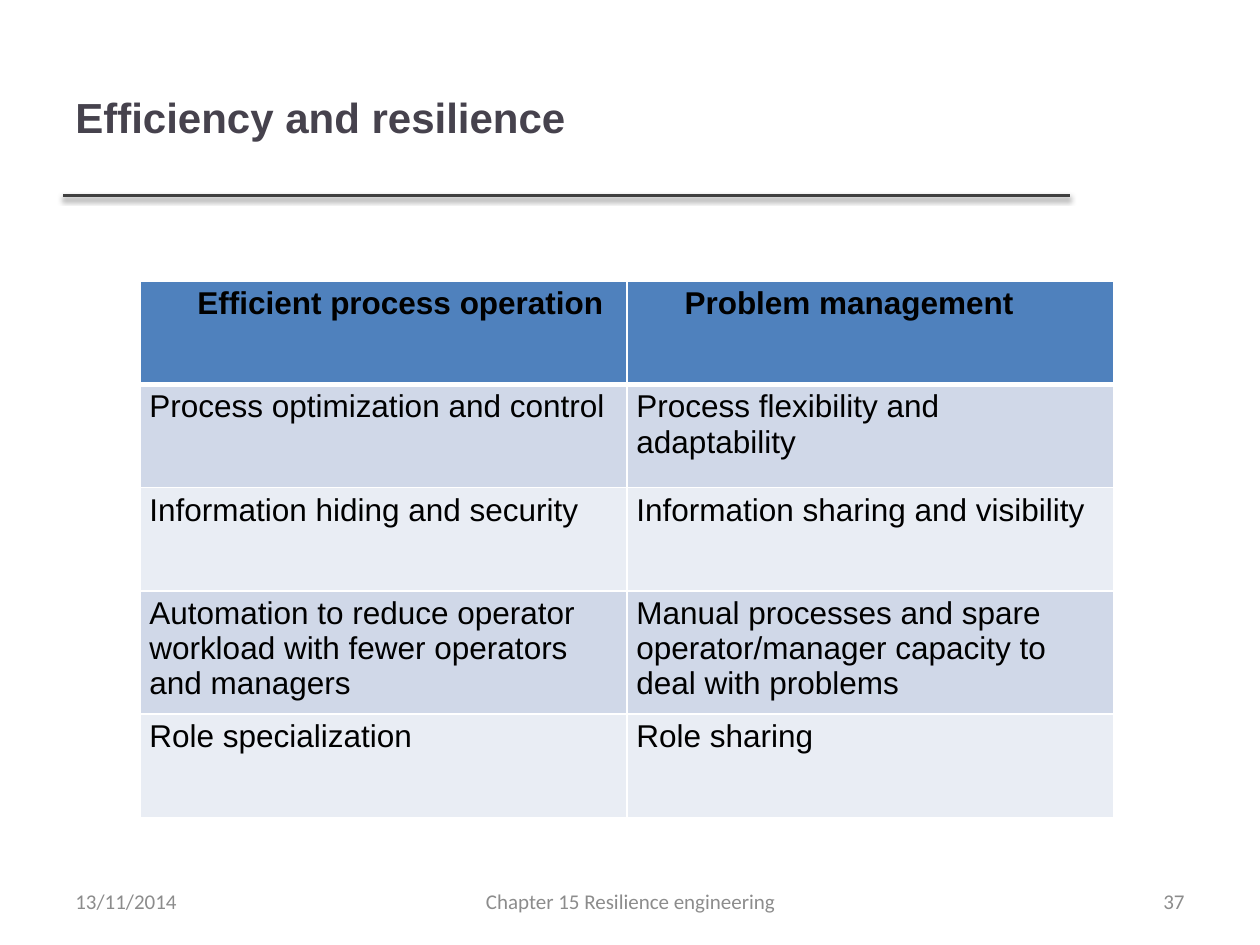
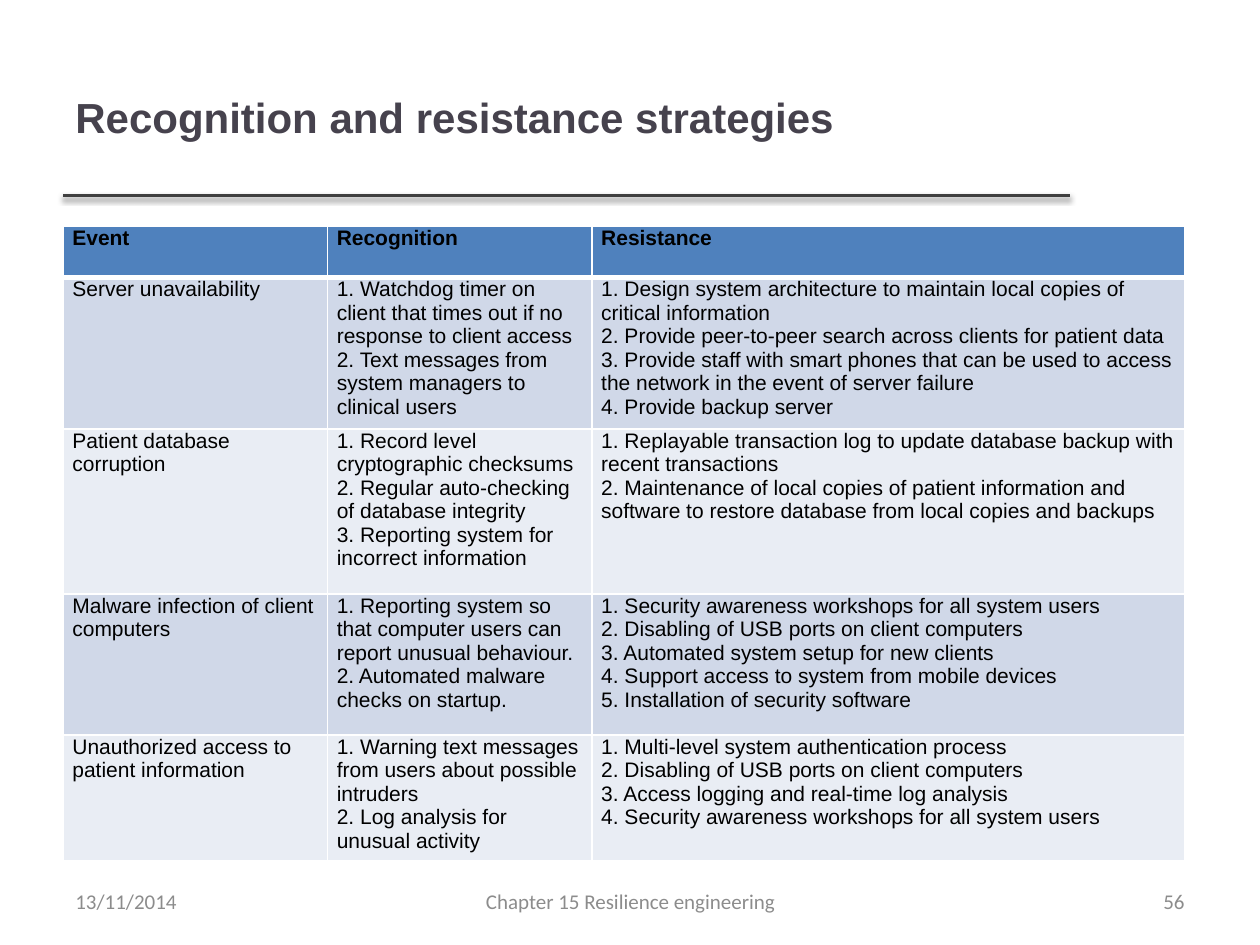
from lxml import etree
from pptx import Presentation
from pptx.dml.color import RGBColor
from pptx.enum.shapes import MSO_CONNECTOR
from pptx.enum.text import MSO_ANCHOR, PP_ALIGN
from pptx.util import Cm, Pt

LEFT, CENTER, RIGHT, JUSTIFY = PP_ALIGN.LEFT, PP_ALIGN.CENTER, PP_ALIGN.RIGHT, PP_ALIGN.JUSTIFY
MIDDLE = MSO_ANCHOR.MIDDLE
STRAIGHT = MSO_CONNECTOR.STRAIGHT

TITLE_COLOUR, RULE_COLOUR, FOOTER_COLOUR = "46424D", "404040", "8C8C8C"
TEXT_COLOUR, BORDER_COLOUR = "000000", "FFFFFF"
HEADER_FILL, BAND_FILLS = "4F81BD", ("D0D8E8", "E9EDF4")
NAMESPACE = 'xmlns:a="http://schemas.openxmlformats.org/drawingml/2006/main"'
RULE_SHADOW = (
    f'<a:effectLst {NAMESPACE}><a:outerShdw blurRad="{Pt(3.1)}" dist="{Pt(1.6)}" '
    'dir="5400000" rotWithShape="0"><a:srgbClr val="000000"><a:alpha val="38000"/>'
    '</a:srgbClr></a:outerShdw></a:effectLst>'
)


def style_font(font, name, size, colour, bold=False):
    font.name, font.size, font.bold = name, Pt(size), bold
    font.color.rgb = RGBColor.from_string(colour)


def add_text(slide, text, left, top, width, height, align, *font_style):
    shape = slide.shapes.add_textbox(Cm(left), Cm(top), Cm(width), Cm(height))
    frame = shape.text_frame
    frame.word_wrap = True
    frame.vertical_anchor = MIDDLE
    paragraph = frame.paragraphs[0]
    paragraph.text = text
    paragraph.alignment = align
    style_font(paragraph.font, *font_style)


# Content; each line in a cell is its own paragraph, lengths are in centimetres
pages = [
    {
        "title": "Efficiency and resilience",
        "number": "37",
        "position": (2.82, 5.67),
        "columns": [9.82, 9.82],
        "rows": [2.08, 2.08, 2.08, 2.33, 2.08],
        "size": 18,
        "margin": 0.1,
        "header_indent": 0.97,
        "cells": [
            ["Efficient process operation", "Problem management"],
            ["Process optimization and control", "Process flexibility and adaptability"],
            ["Information hiding and security", "Information sharing and visibility"],
            ["Automation to reduce operator workload with fewer operators and managers",
             "Manual processes and spare operator/manager capacity to deal with problems"],
            ["Role specialization", "Role sharing"],
        ],
    },
    {
        "title": "Recognition and resistance strategies",
        "number": "56",
        "position": (1.27, 4.57),
        "columns": [5.33, 5.33, 11.96],
        "rows": [1.03, 2.84, 3.33, 2.84, 2.4],
        "size": 12,
        "margin": 0,
        "header_indent": 0,
        "cells": [
            ["Event", "Recognition", "Resistance"],
            ["Server unavailability",
             "1. Watchdog timer on client that times out if no response to client access\n"
             "2. Text messages from system managers to clinical users",
             "1. Design system architecture to maintain local copies of critical information\n"
             "2. Provide peer-to-peer search across clients for patient data\n"
             "3. Provide staff with smart phones that can be used to access the network "
             "in the event of server failure\n"
             "4. Provide backup server"],
            ["Patient database corruption",
             "1. Record level cryptographic checksums\n"
             "2. Regular auto-checking of database integrity\n"
             "3. Reporting system for incorrect information",
             "1. Replayable transaction log to update database backup with recent transactions\n"
             "2. Maintenance of local copies of patient information and software to restore "
             "database from local copies and backups"],
            ["Malware infection of client computers",
             "1. Reporting system so that computer users can report unusual behaviour.\n"
             "2. Automated malware checks on startup.",
             "1. Security awareness workshops for all system users\n"
             "2. Disabling of USB ports on client computers\n"
             "3. Automated system setup for new clients\n"
             "4. Support access to system from mobile devices\n"
             "5. Installation of security software"],
            ["Unauthorized access to patient information",
             "1. Warning text messages from users about possible intruders\n"
             "2. Log analysis for unusual activity",
             "1. Multi-level system authentication process\n"
             "2. Disabling of USB ports on client computers\n"
             "3. Access logging and real-time log analysis\n"
             "4. Security awareness workshops for all system users"],
        ],
    },
]

presentation = Presentation()
presentation.slide_width, presentation.slide_height = Cm(25.4), Cm(19.05)

for page in pages:
    slide = presentation.slides.add_slide(presentation.slide_layouts[6])

    # Rule under the title, with a soft shadow
    rule = slide.shapes.add_connector(STRAIGHT, Cm(1.27), Cm(3.94), Cm(21.56), Cm(3.94))
    rule.line.width = Pt(2)
    rule.line.color.rgb = RGBColor.from_string(RULE_COLOUR)
    rule._element.spPr.append(etree.fromstring(RULE_SHADOW))

    # Title and footer
    add_text(slide, page["title"], 1.27, 0.76, 20.27, 3.18, LEFT, "Arial", 24, TITLE_COLOUR, True)
    footer = [
        ("13/11/2014", 1.27, 5.92, LEFT),
        ("Chapter 15 Resilience engineering", 8.69, 8.05, CENTER),
        (page["number"], 18.21, 5.92, RIGHT),
    ]
    for text, left, width, align in footer:
        add_text(slide, text, left, 17.65, width, 1.02, align, "Calibri", 12, FOOTER_COLOUR)

    # Table
    left, top = page["position"]
    columns, rows = page["columns"], page["rows"]
    table = slide.shapes.add_table(
        len(rows), len(columns), Cm(left), Cm(top), Cm(sum(columns)), Cm(sum(rows))
    ).table
    for column, width in zip(table.columns, columns):
        column.width = Cm(width)
    for row, height in zip(table.rows, rows):
        row.height = Cm(height)

    for row_index, texts in enumerate(page["cells"]):
        is_header = row_index == 0
        fill = HEADER_FILL if is_header else BAND_FILLS[(row_index - 1) % 2]
        # The border between header and body is thicker
        borders = {"L": 1, "R": 1, "T": 3 if row_index == 1 else 1, "B": 3 if is_header else 1}
        for column_index, text in enumerate(texts):
            cell = table.cell(row_index, column_index)
            cell.text = text
            cell.margin_left = cell.margin_right = Cm(0.19)
            cell.margin_top = cell.margin_bottom = Cm(page["margin"])
            properties = cell._tc.get_or_add_tcPr()
            for side, width in borders.items():
                properties.append(etree.fromstring(
                    f'<a:ln{side} {NAMESPACE} w="{Pt(width)}"><a:solidFill>'
                    f'<a:srgbClr val="{BORDER_COLOUR}"/></a:solidFill></a:ln{side}>'
                ))
            cell.fill.solid()
            cell.fill.fore_color.rgb = RGBColor.from_string(fill)
            for paragraph in cell.text_frame.paragraphs:
                style_font(paragraph.font, "Arial", page["size"], TEXT_COLOUR, is_header)
                if is_header:
                    paragraph.alignment = JUSTIFY
                    paragraph._p.get_or_add_pPr().set("indent", str(Cm(page["header_indent"])))

presentation.save("out.pptx")
